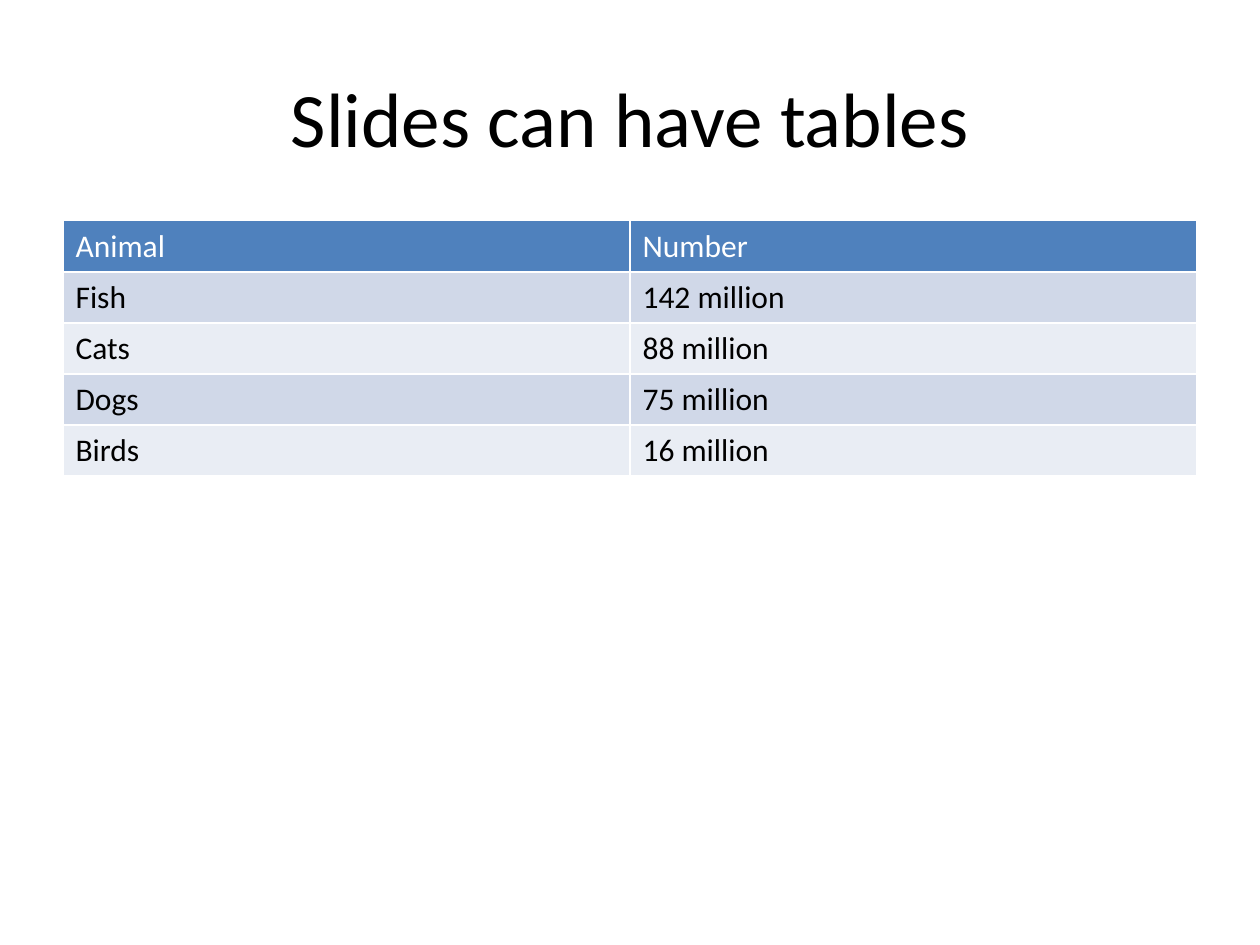
from dataclasses import dataclass

from lxml import etree
from pptx import Presentation
from pptx.dml.color import RGBColor
from pptx.enum.text import MSO_ANCHOR, PP_ALIGN
from pptx.oxml.ns import qn
from pptx.util import Cm, Pt

MID = MSO_ANCHOR.MIDDLE
TOP = MSO_ANCHOR.TOP
MIDDLE = PP_ALIGN.CENTER
LEFT = PP_ALIGN.LEFT


@dataclass(frozen=True)
class Theme:
    font: str = "Calibri"
    title: int = 44
    body: int = 18
    rule: int = 1
    ink: str = "000000"
    white: str = "FFFFFF"
    head: str = "4F81BD"
    bands: tuple[str, str] = ("D0D8E8", "E9EDF4")


@dataclass(frozen=True)
class Pet:
    name: str
    count: str


THEME = Theme()
HEAD = Pet("Animal", "Number")
PETS = [
    Pet("Fish", "142 million"),
    Pet("Cats", "88 million"),
    Pet("Dogs", "75 million"),
    Pet("Birds", "16 million"),
]
EDGE, WIDE, ROW = Cm(1.27), Cm(22.86), Cm(1.03)


def write(frame, text: str, size: int, color: str, align=LEFT) -> None:
    para = frame.paragraphs[0]
    para.alignment = align
    run = para.add_run()
    run.text = text
    run.font.name = THEME.font
    run.font.size = Pt(size)
    run.font.bold = False
    run.font.color.rgb = RGBColor.from_string(color)


def border(cell) -> None:
    props = cell._tc.get_or_add_tcPr()
    for side in ("lnL", "lnR", "lnT", "lnB"):
        line = etree.SubElement(props, qn(f"a:{side}"), w=str(Pt(THEME.rule)))
        fill = etree.SubElement(line, qn("a:solidFill"))
        etree.SubElement(fill, qn("a:srgbClr"), val=THEME.white)


def fill_row(grid, index: int, pet: Pet, back: str, color: str) -> None:
    grid.rows[index].height = ROW
    for col, text in enumerate((pet.name, pet.count)):
        cell = grid.cell(index, col)
        cell.vertical_anchor = TOP
        border(cell)
        cell.fill.solid()
        cell.fill.fore_color.rgb = RGBColor.from_string(back)
        write(cell.text_frame, text, THEME.body, color)


deck = Presentation()
deck.slide_width, deck.slide_height = Cm(25.4), Cm(19.05)
slide = deck.slides.add_slide(deck.slide_layouts[6])

# Title
box = slide.shapes.add_textbox(EDGE, Cm(0.76), WIDE, Cm(3.18))
box.text_frame.word_wrap = True
box.text_frame.vertical_anchor = MID
write(box.text_frame, "Slides can have tables", THEME.title, THEME.ink, MIDDLE)

# Table of animals
count = len(PETS) + 1
grid = slide.shapes.add_table(count, 2, EDGE, Cm(4.45), WIDE, ROW * count).table
fill_row(grid, 0, HEAD, THEME.head, THEME.white)
for index, pet in enumerate(PETS):
    fill_row(grid, index + 1, pet, THEME.bands[index % 2], THEME.ink)

deck.save("out.pptx")
